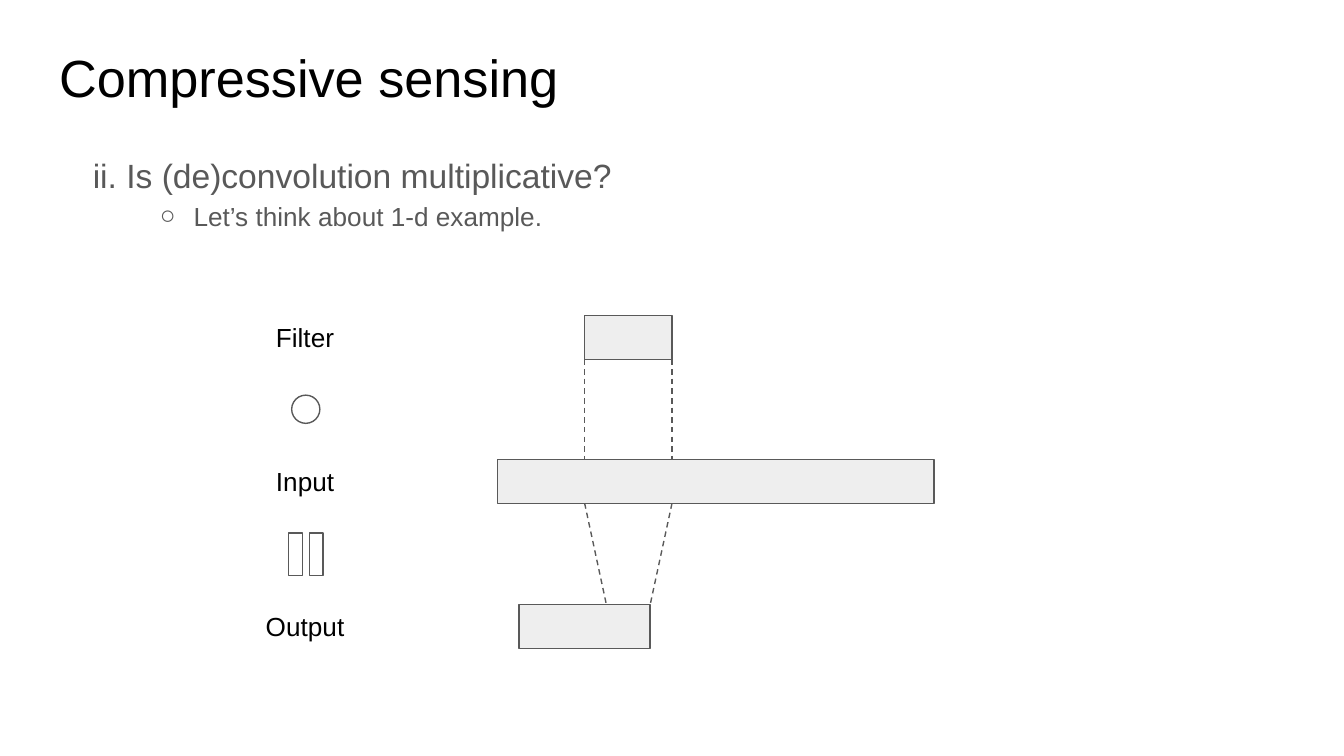
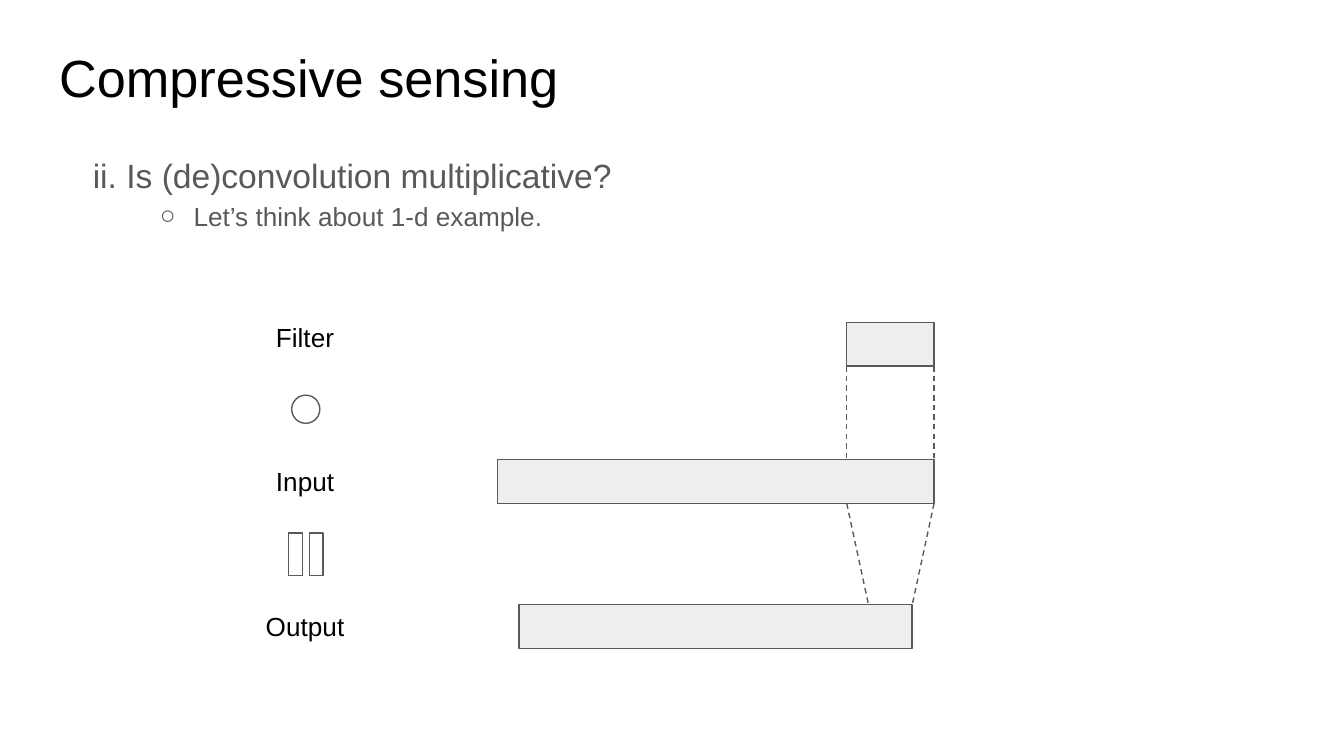
from lxml import etree
from pptx import Presentation
from pptx.dml.color import RGBColor
from pptx.enum.dml import MSO_LINE
from pptx.enum.shapes import MSO_CONNECTOR, MSO_SHAPE
from pptx.enum.text import MSO_ANCHOR, MSO_AUTO_SIZE, PP_ALIGN
from pptx.oxml.ns import qn
from pptx.util import Inches, Pt

RECTANGLE, CIRCLE, EQUALS = MSO_SHAPE.RECTANGLE, MSO_SHAPE.OVAL, MSO_SHAPE.MATH_EQUAL
STRAIGHT, DASH = MSO_CONNECTOR.STRAIGHT, MSO_LINE.DASH
TOP, MIDDLE = MSO_ANCHOR.TOP, MSO_ANCHOR.MIDDLE
LEFT, CENTER = PP_ALIGN.LEFT, PP_ALIGN.CENTER
BLACK = RGBColor(0, 0, 0)
GRAY = RGBColor(0x59, 0x59, 0x59)
PALE = RGBColor(0xEE, 0xEE, 0xEE)
FONT = "Arial"

TITLE = "Compressive sensing"
# text, size, left margin in inches, bullet tag, bullet attributes
POINTS = [
    ("Is (de)convolution multiplicative?", 18, 0.5,
     "a:buAutoNum", {"type": "romanLcPeriod", "startAt": "2"}),
    ("Let’s think about 1-d example.", 14, 1, "a:buChar", {"char": "○"}),
]
# text, top, width
LABELS = [("Filter", 2.29, 0.65), ("Input", 3.36, 0.65), ("Output", 4.44, 0.81)]
# Filter position in signal cells, and the top of its bar
STEPS = [{"position": 4, "filter_top": 2.35}, {"position": 16, "filter_top": 2.4}]

# Signal cells: the input spans 20 of them, the filter 4
SLIDE_WIDTH = Inches(10)
SLIDE_HEIGHT = SLIDE_WIDTH * 9 // 16
SIGNAL_LEFT, INPUT_CELLS, FILTER_CELLS = 3.7, 20, 4
CELL = 3.25 / INPUT_CELLS
OUTPUT_START = 1
BAR_HEIGHT, INPUT_TOP, OUTPUT_TOP = 2 * CELL, 3.42, 4.5
LABEL_CENTER, LABEL_HEIGHT = 2.27, 0.44
MARGIN, TEXT_WIDTH = 0.34, 9.32


def cell_x(cell):
    return SIGNAL_LEFT + cell * CELL


def place(shape, *box):
    shape.left, shape.top, shape.width, shape.height = map(Inches, box)


def style_frame(frame, anchor):
    frame.margin_left = frame.margin_right = Inches(0.1)
    frame.margin_top = frame.margin_bottom = Inches(0.1)
    frame.auto_size = MSO_AUTO_SIZE.NONE
    frame.word_wrap = True
    frame.vertical_anchor = anchor


def style_paragraph(paragraph, size, color, align):
    paragraph.alignment = align
    paragraph.font.name = FONT
    paragraph.font.size = Pt(size)
    paragraph.font.color.rgb = color


def add_bullet(paragraph, margin, tag, attributes):
    properties = paragraph._p.get_or_add_pPr()
    properties.set("marL", str(Inches(margin)))
    properties.set("indent", str(Inches(-0.25)))
    bullet_color = etree.SubElement(properties, qn("a:buClr"))
    etree.SubElement(bullet_color, qn("a:srgbClr"), val=str(GRAY))
    etree.SubElement(properties, qn("a:buFont"), typeface=FONT)
    etree.SubElement(properties, qn(tag), attributes)


def add_heading(slide):
    title, body = slide.shapes.title, slide.placeholders[1]
    place(title, MARGIN, 0.24, TEXT_WIDTH, 0.63)
    title.text_frame.text = TITLE
    style_frame(title.text_frame, TOP)
    style_paragraph(title.text_frame.paragraphs[0], 28, BLACK, LEFT)

    place(body, MARGIN, 1.01, TEXT_WIDTH, 4.35)
    body.text_frame.text = "\n".join(point[0] for point in POINTS)
    style_frame(body.text_frame, TOP)
    for level, (paragraph, point) in enumerate(zip(body.text_frame.paragraphs, POINTS)):
        _, size, margin, tag, attributes = point
        paragraph.level = level
        paragraph.line_spacing = 1.15
        paragraph.space_before = Pt(0)
        add_bullet(paragraph, margin, tag, attributes)
        style_paragraph(paragraph, size, GRAY, LEFT)


def add_outlined(slide, kind, box, fill=None):
    shape = slide.shapes.add_shape(kind, *map(Inches, box))
    shape.shadow.inherit = False
    if fill is None:
        shape.fill.background()
    else:
        shape.fill.solid()
        shape.fill.fore_color.rgb = fill
    shape.line.color.rgb = GRAY
    shape.line.width = Pt(0.75)
    return shape


def add_bar(slide, start, cells, top):
    add_outlined(slide, RECTANGLE, (cell_x(start), top, cells * CELL, BAR_HEIGHT), PALE)


def add_projection(slide, upper_cell, upper_y, lower_cell, lower_y):
    """Dashed line between two cell borders of neighbouring bars."""
    ends = cell_x(upper_cell), upper_y, cell_x(lower_cell), lower_y
    line = slide.shapes.add_connector(STRAIGHT, *map(Inches, ends))
    line.line.color.rgb = GRAY
    line.line.width = Pt(0.75)
    line.line.dash_style = DASH
    etree.SubElement(line._element.spPr, qn("a:effectLst"))


def add_formula(slide):
    """Column reading: filter, convolved with input, equals output."""
    for text, top, width in LABELS:
        box = (LABEL_CENTER - width / 2, top, width, LABEL_HEIGHT)
        frame = slide.shapes.add_textbox(*map(Inches, box)).text_frame
        frame.text = text
        style_frame(frame, MIDDLE)
        style_paragraph(frame.paragraphs[0], 14, BLACK, CENTER)
    equals = add_outlined(slide, EQUALS, (2.06, 3.91, 0.43, 0.43))
    equals.rotation = 90
    equals.adjustments[0], equals.adjustments[1] = 0.235, 0.118
    add_outlined(slide, CIRCLE, (2.17, 2.94, 0.21, 0.21))


def add_convolution(slide, position, filter_top):
    end = position + FILTER_CELLS
    output_end = end - 1
    for cell, output_cell in ((position, position + 1), (end, output_end)):
        add_projection(slide, cell, filter_top + BAR_HEIGHT, cell, INPUT_TOP)
        add_projection(slide, cell, INPUT_TOP + BAR_HEIGHT, output_cell, OUTPUT_TOP)
    add_bar(slide, position, FILTER_CELLS, filter_top)
    add_bar(slide, 0, INPUT_CELLS, INPUT_TOP)
    add_bar(slide, OUTPUT_START, output_end - OUTPUT_START, OUTPUT_TOP)


def main():
    deck = Presentation()
    deck.slide_width, deck.slide_height = SLIDE_WIDTH, SLIDE_HEIGHT
    for step in STEPS:
        slide = deck.slides.add_slide(deck.slide_layouts[1])
        add_heading(slide)
        add_convolution(slide, **step)
        add_formula(slide)
    deck.save("out.pptx")


if __name__ == "__main__":
    main()
